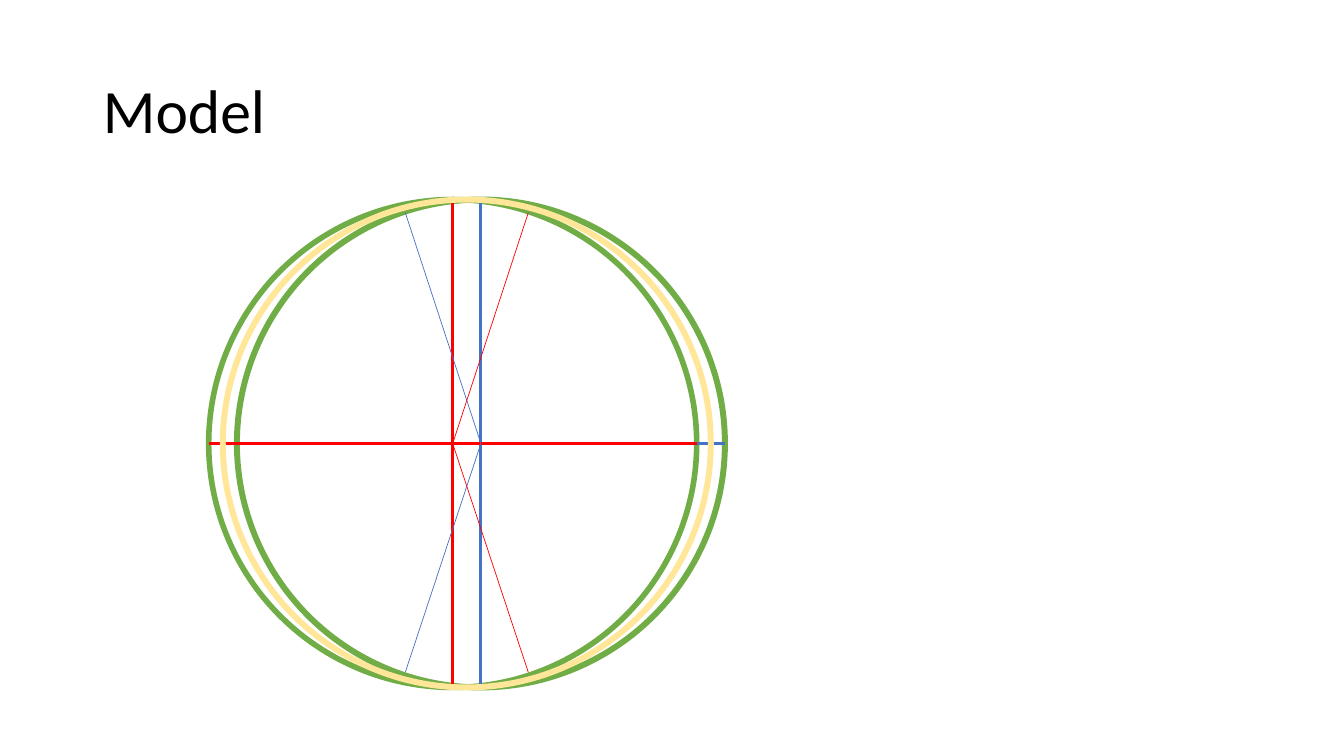
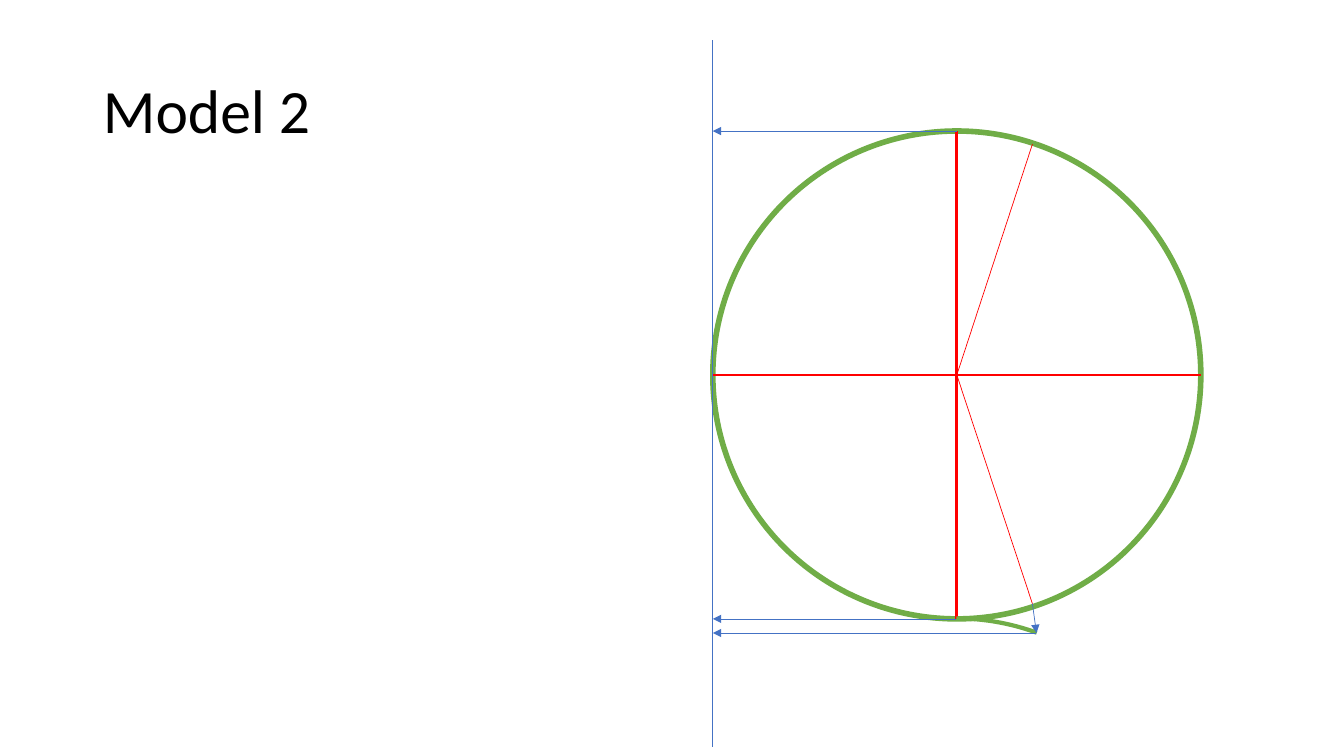
from pptx import Presentation, util as u
from pptx.dml.color import RGBColor
from pptx.enum import shapes, text
from pptx.oxml.ns import qn
from lxml import etree

Inches = u.Inches
COLORS = {"black": "000000", "green": "70AD47", "blue": "4472C4", "red": "FF0000", "cream": "FFE699"}
RADIUS = 2.42
SPOKE_X, SPOKE_UP, SPOKE_DOWN = 0.75, 2.29, 2.27


def add_outline(s, kind, left, top, width, height, color, weight):
    sp = s.shapes.add_shape(kind, Inches(left), Inches(top), Inches(width), Inches(height))
    sp.shadow.inherit = False
    sp.fill.background()
    sp.line.color.rgb = RGBColor.from_string(COLORS[color])
    sp.line.width = u.Pt(weight)
    return sp


def add_line(s, x1, y1, x2, y2, color, weight, arrow=False):
    cn = s.shapes.add_connector(shapes.MSO_CONNECTOR.STRAIGHT, Inches(x1), Inches(y1), Inches(x2), Inches(y2))
    cn.line.color.rgb = RGBColor.from_string(COLORS[color])
    cn.line.width = u.Pt(weight)
    if arrow:
        etree.SubElement(cn.line._get_or_add_ln(), qn("a:tailEnd"), type="triangle")
    etree.SubElement(cn._element.spPr, qn("a:effectLst"))


prs = Presentation()
prs.slide_width, prs.slide_height = Inches(13.33), Inches(7.5)

slides = []
for title in ("Model", "Model 2"):
    s = prs.slides.add_slide(prs.slide_layouts[5])
    sp = s.shapes.title
    sp.left, sp.top, sp.width, sp.height = Inches(0.92), Inches(0.4), Inches(11.5), Inches(1.45)
    tf = sp.text_frame
    tf.text = title
    tf.vertical_anchor = text.MSO_ANCHOR.MIDDLE
    p = tf.paragraphs[0]
    p.alignment = text.PP_ALIGN.LEFT
    p.line_spacing = 0.9
    p.font.name, p.font.size = "Calibri", u.Pt(44)
    p.font.color.rgb = RGBColor.from_string(COLORS["black"])
    slides.append(s)

oval = shapes.MSO_SHAPE.OVAL
size = 2 * RADIUS

s = slides[0]
cy = 4.4
left_cx, right_cx = 4.49, 4.77
for cx, weight in ((left_cx, 4), (right_cx, 4.25)):
    add_outline(s, oval, cx - RADIUS, cy - RADIUS, size, size, "green", weight)
for cx, color in ((right_cx, "blue"), (left_cx, "red")):
    add_line(s, cx, cy - RADIUS, cx, cy + RADIUS, color, 2)
    add_line(s, cx - RADIUS, cy, cx + RADIUS, cy, color, 2)
for cx, color, side in ((right_cx, "blue", -1), (left_cx, "red", 1)):
    for dy in (-SPOKE_UP, SPOKE_DOWN):
        add_line(s, cx, cy, cx + side * SPOKE_X, cy + dy, color, 0.5)
add_outline(s, oval, (left_cx + right_cx) / 2 - RADIUS, cy - RADIUS, size, size, "cream", 4.25)

s = slides[1]
cx, cy = 9.49, 3.72
wall_x = cx - RADIUS
spoke_x, spoke_y = cx + SPOKE_X, cy + SPOKE_DOWN
tip_x, tip_y = 10.28, 6.28
add_outline(s, oval, wall_x, cy - RADIUS, size, size, "green", 4)
add_line(s, cx, cy - RADIUS, cx, cy + RADIUS, "red", 2)
add_line(s, wall_x, cy, cx + RADIUS, cy, "red", 2)
for dy in (-SPOKE_UP, SPOKE_DOWN):
    add_line(s, cx, cy, spoke_x, cy + dy, "red", 0.5)
add_line(s, wall_x, 0.4, wall_x, 7.41, "blue", 0.5)
for y in (cy - RADIUS, cy + RADIUS):
    add_line(s, cx, y, wall_x, y, "blue", 0.5, arrow=True)

arc = add_outline(s, shapes.MSO_SHAPE.ARC, 6.96, 6.24, 5.05, size, "green", 3)
arc.adjustments[0] = 204.89
arc.adjustments[1] = 0
arc.rotation = 90
arc._element.spPr.find(qn("a:xfrm")).set("flipH", "1")

add_line(s, tip_x, tip_y, wall_x, tip_y, "blue", 0.5, arrow=True)
add_line(s, spoke_x, spoke_y, tip_x, tip_y, "blue", 0.5, arrow=True)

prs.save("out.pptx")
